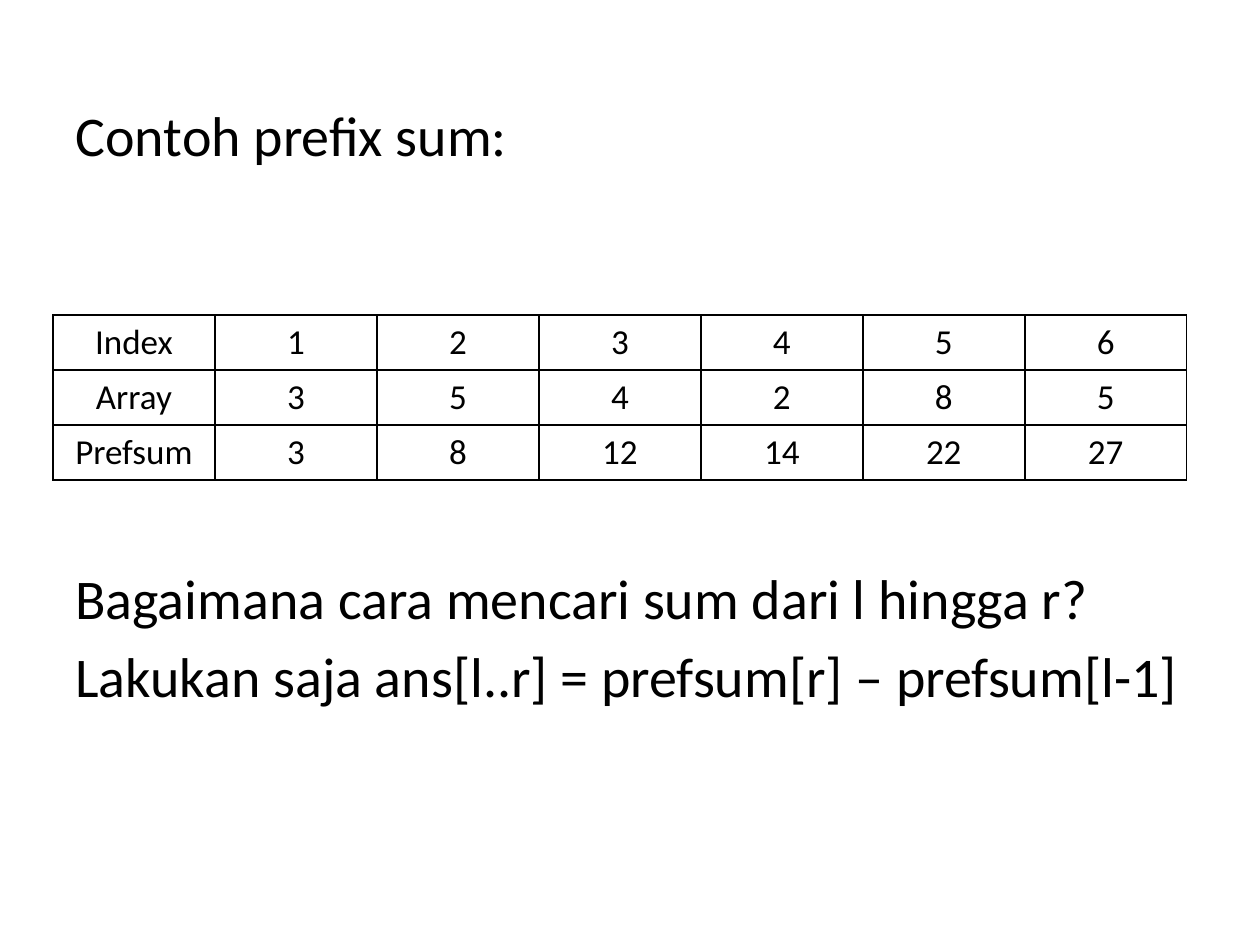
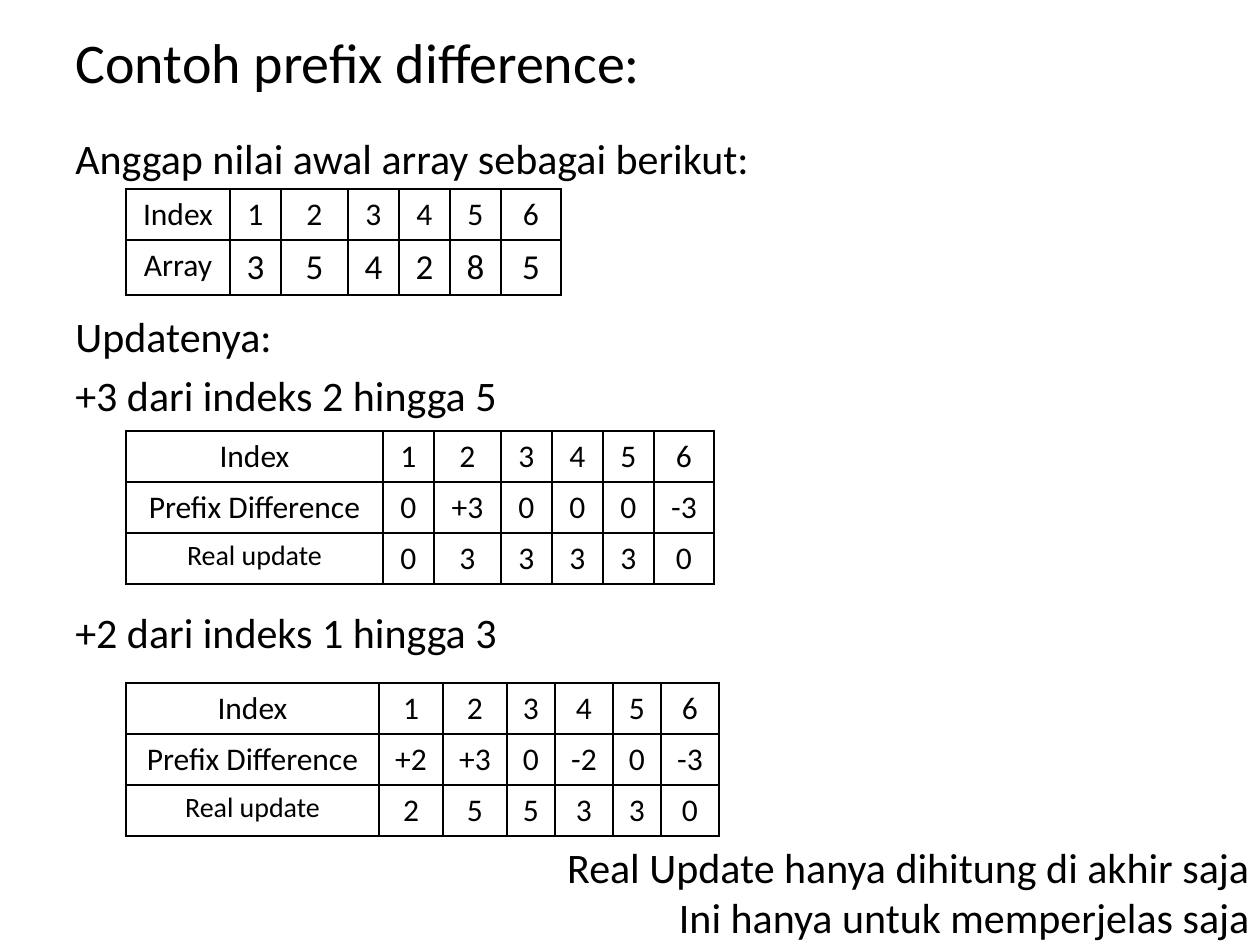
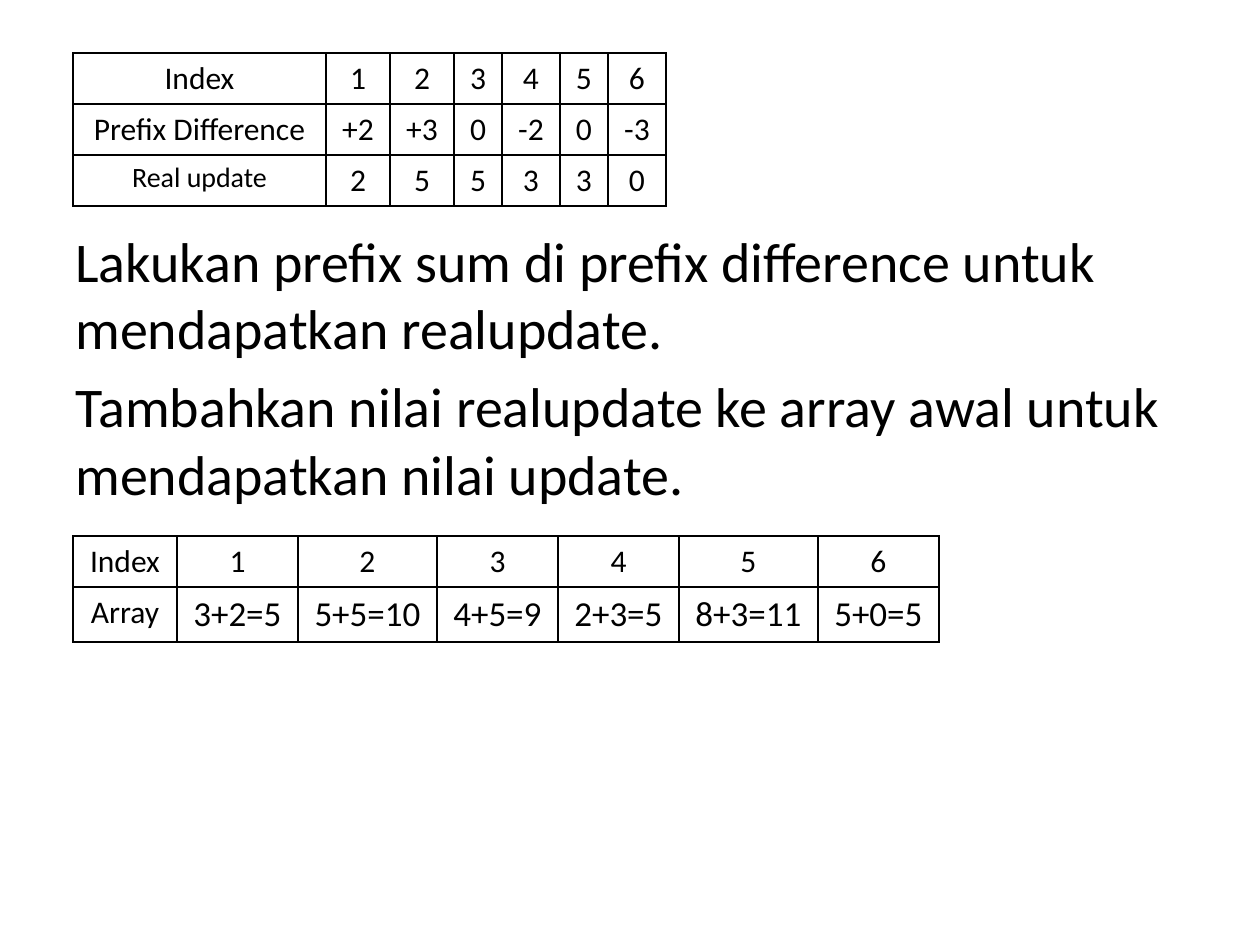
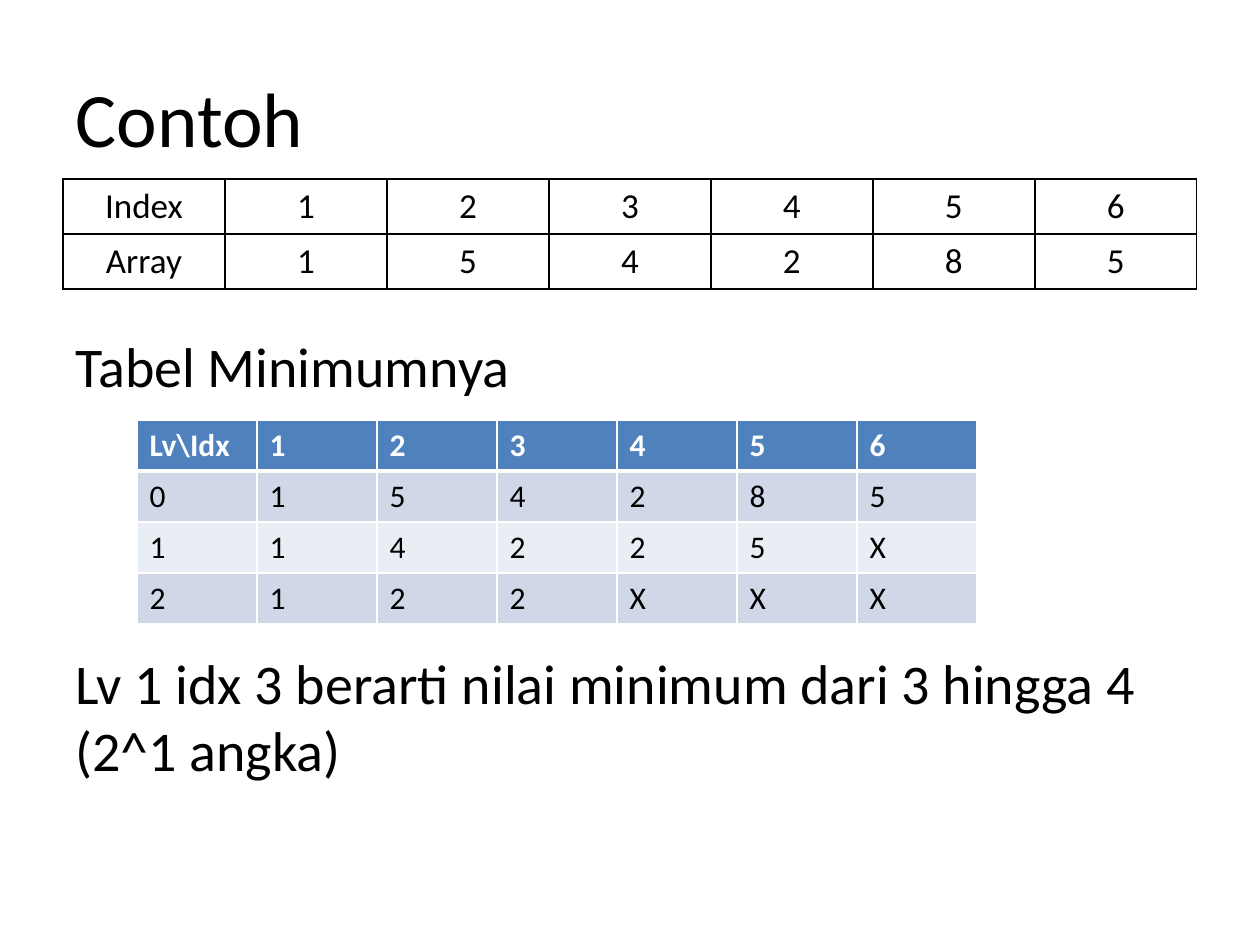
import lxml.etree
import pptx
import pptx.dml.color
import pptx.enum.text
import pptx.oxml.ns
import pptx.util

# Shared scale, font, colours and measures
EMU_PER_PIXEL = 914400 / 126
FONT = "Calibri"
COLORS = {"text": "000000", "grid": "000000", "white": "FFFFFF",
          "header": "4F81BD", "band": "D0D8E8", "pale": "E9EDF4"}
ALIGN = pptx.enum.text.PP_ALIGN
ANCHOR = pptx.enum.text.MSO_ANCHOR
TITLE_ONLY, BLANK = 5, 6
BODY_LEFT, BODY_WIDTH = 63, 1134
LINE_HEIGHT = 1.22      # one line, as a share of the font size
PARAGRAPH_GAP = 0.2     # space before a paragraph, as a share of the font size
ROW_HEIGHT = {18: 51, 20: 55}

# Content that several slides share
INDEX = ["Index", "1", "2", "3", "4", "5", "6"]
BOTH_UPDATES = [INDEX,
                ["Prefix Difference", "+2", "+3", "0", "-2", "0", "-3"],
                ["Real update", "2", "5", "5", "3", "3", "0"]]
BOTH_UPDATES_COLUMNS = [253, 64, 64, 48, 58, 48, 58]
UPDATE_SIZES = [(18, 18), (18, 18), (16, 18)]
ARRAY_SIZES = [(18, 18), (18, 20)]
EVEN_COLUMNS = [162] * 7


def px(length):
    return pptx.util.Emu(round(length * EMU_PER_PIXEL))


def rgb(name):
    return pptx.dml.color.RGBColor.from_string(COLORS[name])


def style(paragraph, size, align=ALIGN.LEFT, color="text", bold=False):
    paragraph.alignment = align
    font = paragraph.font
    font.name, font.size, font.bold = FONT, pptx.util.Pt(size), bold
    font.color.rgb = rgb(color)


def add_title(slide, box, text, size, anchor=ANCHOR.TOP, align=ALIGN.LEFT, gap=PARAGRAPH_GAP):
    title = slide.shapes.title
    title.left, title.top, title.width, title.height = map(px, box)
    frame = title.text_frame
    frame.text = text
    frame.auto_size = pptx.enum.text.MSO_AUTO_SIZE.NONE
    frame.vertical_anchor = anchor
    style(frame.paragraphs[0], size, align)
    frame.paragraphs[0].space_before = pptx.util.Pt(size * gap)


def add_text(slide, box, lines, size, gap=PARAGRAPH_GAP, align=ALIGN.LEFT, wrap=True):
    """Each line is (text, number of line slots left free above it for a table)."""
    frame = slide.shapes.add_textbox(*map(px, box)).text_frame
    frame.word_wrap = wrap
    for number, (text, free_slots) in enumerate(lines):
        paragraph = frame.add_paragraph() if number else frame.paragraphs[0]
        paragraph.text = text
        style(paragraph, size, align)
        space = gap + free_slots * (LINE_HEIGHT + gap)
        paragraph.space_before = pptx.util.Pt(round(size * space, 1))


def add_border(cell, side, color, points):
    properties = cell._tc.get_or_add_tcPr()
    line = lxml.etree.SubElement(properties, pptx.oxml.ns.qn("a:ln" + side),
                                 w=str(pptx.util.Pt(points)))
    fill = lxml.etree.SubElement(line, pptx.oxml.ns.qn("a:solidFill"))
    lxml.etree.SubElement(fill, pptx.oxml.ns.qn("a:srgbClr"), val=COLORS[color])


def add_grid(slide, left, top, columns, row_heights):
    table = slide.shapes.add_table(len(row_heights), len(columns), px(left), px(top),
                                   px(sum(columns)), px(sum(row_heights))).table
    table.first_row = table.horz_banding = False
    for column, width in zip(table.columns, columns):
        column.width = px(width)
    for row, height in zip(table.rows, row_heights):
        row.height = px(height)
    return table


def add_plain_table(slide, left, top, columns, rows, sizes):
    """Each entry of sizes is (label size, value size) of one row."""
    table = add_grid(slide, left, top, columns, [ROW_HEIGHT[value] for _, value in sizes])
    for r, (row, (label_size, value_size)) in enumerate(zip(rows, sizes)):
        for c, text in enumerate(row):
            cell = table.cell(r, c)
            cell.text = text
            style(cell.text_frame.paragraphs[0], value_size if c else label_size, ALIGN.CENTER)
            for side in "LRTB":
                add_border(cell, side, "grid", 1)
            cell.fill.background()


def add_banded_table(slide, left, top, columns, rows, size=18):
    table = add_grid(slide, left, top, columns, [ROW_HEIGHT[size]] * len(rows))
    for r, row in enumerate(rows):
        fill = "header" if r == 0 else "band" if r % 2 else "pale"
        for c, text in enumerate(row):
            cell = table.cell(r, c)
            cell.text = text
            style(cell.text_frame.paragraphs[0], size,
                  color="text" if r else "white", bold=r == 0)
            for side in "LRTB":
                under_header = (r, side) in ((0, "B"), (1, "T"))
                add_border(cell, side, "white", 3 if under_header else 1)
            cell.fill.solid()
            cell.fill.fore_color.rgb = rgb(fill)


def prefix_sum_slide(slide):
    add_title(slide, (BODY_LEFT, 94, BODY_WIDTH, 144), "Contoh prefix sum:", 32)
    add_text(slide, (BODY_LEFT, 557, BODY_WIDTH, 287),
             [("Bagaimana cara mencari sum dari l hingga r?", 0),
              ("Lakukan saja ans[l..r] = prefsum[r] – prefsum[l-1]", 0)], 32)
    add_plain_table(slide, 53, 315, EVEN_COLUMNS,
                    [INDEX,
                     ["Array", "3", "5", "4", "2", "8", "5"],
                     ["Prefsum", "3", "8", "12", "14", "22", "27"]], [(20, 20)] * 3)


def prefix_difference_slide(slide):
    add_title(slide, (BODY_LEFT, 21, BODY_WIDTH, 105), "Contoh prefix difference:", 32)
    add_text(slide, (BODY_LEFT, 126, BODY_WIDTH, 788),
             [("Anggap nilai awal array sebagai berikut:", 0),
              ("Updatenya:", 2),
              ("+3 dari indeks 2 hingga 5", 0),
              ("+2 dari indeks 1 hingga 3", 3)], 24)
    # Starting array, then the state after each update
    table_left = 126
    value_columns = [51, 67, 51, 51, 51, 60]
    add_plain_table(slide, table_left, 189, [104] + value_columns,
                    [INDEX, ["Array", "3", "5", "4", "2", "8", "5"]], ARRAY_SIZES)
    add_plain_table(slide, table_left, 431, [257] + value_columns,
                    [INDEX,
                     ["Prefix Difference", "0", "+3", "0", "0", "0", "-3"],
                     ["Real update", "0", "3", "3", "3", "3", "0"]], UPDATE_SIZES)
    add_plain_table(slide, table_left, 683, BOTH_UPDATES_COLUMNS, BOTH_UPDATES, UPDATE_SIZES)
    # Remark in the bottom right corner
    add_text(slide, (548, 835, 714, 115),
             [("Real Update hanya dihitung di akhir saja", 0),
              ("Ini hanya untuk memperjelas saja", 0)],
             24, gap=0, align=ALIGN.RIGHT, wrap=False)


def final_array_slide(slide):
    table_left = 73
    add_text(slide, (BODY_LEFT, 220, BODY_WIDTH, 624),
             [("Lakukan prefix sum di prefix difference untuk mendapatkan realupdate.", 0),
              ("Tambahkan nilai realupdate ke array awal untuk mendapatkan nilai update.", 0)], 32)
    add_plain_table(slide, table_left, 53, BOTH_UPDATES_COLUMNS, BOTH_UPDATES, UPDATE_SIZES)
    add_plain_table(slide, table_left, 536, [104, 121, 139, 121, 121, 139, 121],
                    [INDEX, ["Array", "3+2=5", "5+5=10", "4+5=9", "2+3=5", "8+3=11", "5+0=5"]],
                    ARRAY_SIZES)


def minimum_table_slide(slide):
    add_title(slide, (BODY_LEFT, 38, BODY_WIDTH, 158), "Contoh", 44,
              ANCHOR.MIDDLE, ALIGN.JUSTIFY, gap=0)
    add_text(slide, (BODY_LEFT, 325, BODY_WIDTH, 588),
             [("Tabel Minimumnya", 0),
              ("Lv 1 idx 3 berarti nilai minimum dari 3 hingga 4 (2^1 angka)", 3)], 32)
    add_plain_table(slide, 63, 179, EVEN_COLUMNS,
                    [INDEX, ["Array", "1", "5", "4", "2", "8", "5"]], [(20, 20)] * 2)
    add_banded_table(slide, 137, 420, [120] * 7,
                     [["Lv\\Idx"] + INDEX[1:],
                      ["0", "1", "5", "4", "2", "8", "5"],
                      ["1", "1", "4", "2", "2", "5", "X"],
                      ["2", "1", "2", "2", "X", "X", "X"]])


deck = pptx.Presentation()
deck.slide_width, deck.slide_height = px(1260), px(945)
for build, layout in ((prefix_sum_slide, TITLE_ONLY), (prefix_difference_slide, TITLE_ONLY),
                      (final_array_slide, BLANK), (minimum_table_slide, TITLE_ONLY)):
    build(deck.slides.add_slide(deck.slide_layouts[layout]))
deck.save("out.pptx")
